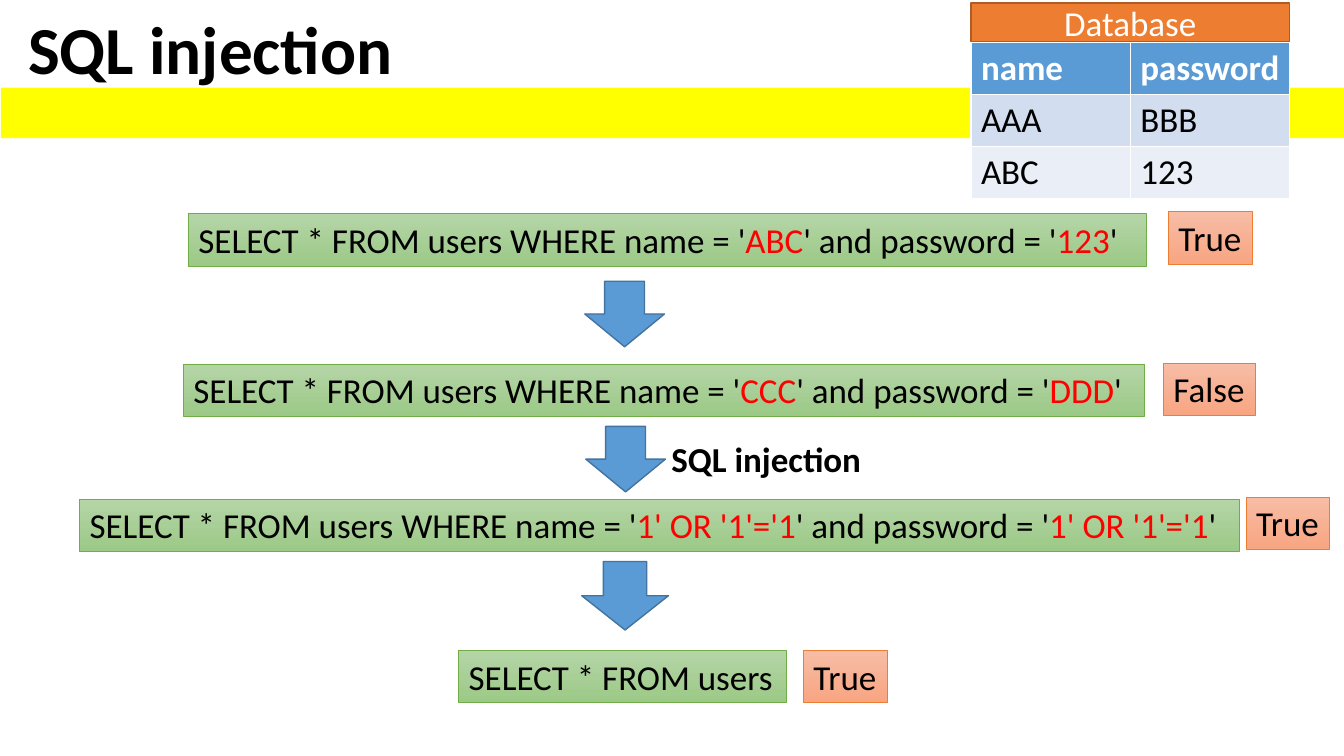
from pptx import Presentation
from pptx.dml.color import RGBColor
from pptx.enum import shapes, text
from pptx.util import Inches, Pt

COLORS = {
    "black": "000000", "white": "FFFFFF", "red": "FF0000", "yellow": "FFFF00",
    "blue": "5B9BD5", "blue_line": "43739E", "orange": "ED7D31", "orange_line": "AF5C24",
    "green_line": "70AD47", "green_top": "B5D5A7", "green_bottom": "9CC987",
    "peach_top": "F7BDA5", "peach_bottom": "F8A582",
    "row_odd": "D2DEEF", "row_even": "EAEFF7",
}
RGB = {name: RGBColor.from_string(value) for name, value in COLORS.items()}

prs = Presentation()
prs.slide_width, prs.slide_height = Inches(13.33), Inches(7.5)
slide = prs.slides.add_slide(prs.slide_layouts[6])


def add_block(kind, box, fills, line=None, width=1):
    """Add a shape with a plain fill, or a vertical gradient for two fills."""
    block = slide.shapes.add_shape(kind, *map(Inches, box))
    block.shadow.inherit = False
    if len(fills) == 2:
        block.fill.gradient()
        block.fill.gradient_angle = 270
        for stop, position, color in zip(block.fill.gradient_stops, (0, 1), fills):
            stop.position = position
            stop.color.rgb = RGB[color]
    else:
        block.fill.solid()
        block.fill.fore_color.rgb = RGB[fills[0]]
    if line:
        block.line.color.rgb = RGB[line]
        block.line.width = Pt(width)
    else:
        block.line.fill.background()
    return block


def write(frame, words, size=25, bold=False, color="black"):
    """Write one fitted line; every second part between bars is red."""
    frame.word_wrap = False
    frame.auto_size = text.MSO_AUTO_SIZE.SHAPE_TO_FIT_TEXT
    frame.vertical_anchor = text.MSO_ANCHOR.TOP
    line = frame.paragraphs[0]
    line.alignment = text.PP_ALIGN.LEFT
    line.font.name, line.font.size, line.font.bold = "Calibri", Pt(size), bold
    line.font.color.rgb = RGB[color]
    for i, part in enumerate(words.split("|")):
        run = line.add_run()
        run.text = part
        if i % 2:
            run.font.color.rgb = RGB["red"]


# Title, band and arrow caption
RECT, ARROW = shapes.MSO_SHAPE.RECTANGLE, shapes.MSO_SHAPE.DOWN_ARROW
add_block(RECT, (0.01, 0.87, 13.32, 0.5), ["yellow"])
for box, size in [((0.18, 0.02, 3.86, 0.91), 48), ((6.56, 4.29, 2.11, 0.52), 25)]:
    caption = slide.shapes.add_textbox(*map(Inches, box))
    write(caption.text_frame, "SQL injection", size, bold=True)

# Queries with their results: left, top, width, query, result left, top, width, result
where = "SELECT * FROM users WHERE name = '|{}|' and password = '|{}|'"
always_true = "1' OR '1'='1"
steps = [
    (1.87, 2.12, 9.5, where.format("ABC", "123"), 11.59, 2.1, 0.83, "True"),
    (1.82, 3.61, 9.53, where.format("CCC", "DDD"), 11.54, 3.6, 0.91, "False"),
    (0.79, 4.95, 11.5, where.format(always_true, always_true), 12.36, 4.93, 0.83, "True"),
    (4.55, 6.45, 3.25, "SELECT * FROM users", 7.97, 6.45, 0.83, "True"),
]
for left, top, width, query, result_left, result_top, result_width, result in steps:
    query_box = add_block(RECT, (left, top, width, 0.52),
                          ["green_top", "green_bottom"], "green_line", 0.5)
    write(query_box.text_frame, query)
    result_box = add_block(RECT, (result_left, result_top, result_width, 0.52),
                           ["peach_top", "peach_bottom"], "orange", 0.5)
    write(result_box.text_frame, result)

# Arrows between the queries
for box in [(5.8, 2.79, 0.79, 0.65), (5.81, 4.23, 0.79, 0.65), (5.77, 5.57, 0.86, 0.68)]:
    add_block(ARROW, box, ["blue"], "blue_line")

# Database table
users = [("name", "password"), ("AAA", "BBB"), ("ABC", "123")]
row_fills = ["blue", "row_odd", "row_even"]
table = slide.shapes.add_table(3, 2, Inches(9.63), Inches(0.42),
                               Inches(3.16), Inches(1.55)).table
for r, (values, fill) in enumerate(zip(users, row_fills)):
    for c, value in enumerate(values):
        cell = table.cell(r, c)
        cell.fill.solid()
        cell.fill.fore_color.rgb = RGB[fill]
        cell.text = value
        font = cell.text_frame.paragraphs[0].font
        font.name, font.size, font.bold = "Calibri", Pt(25), r == 0
        font.color.rgb = RGB["black" if r else "white"]

# Database heading
heading = add_block(RECT, (9.63, 0.03, 3.16, 0.38), ["orange"], "orange_line")
write(heading.text_frame, "Database", color="white")
heading.text_frame.word_wrap = True
heading.text_frame.auto_size = text.MSO_AUTO_SIZE.NONE
heading.text_frame.vertical_anchor = text.MSO_ANCHOR.MIDDLE
heading.text_frame.paragraphs[0].alignment = text.PP_ALIGN.CENTER

prs.save("out.pptx")
